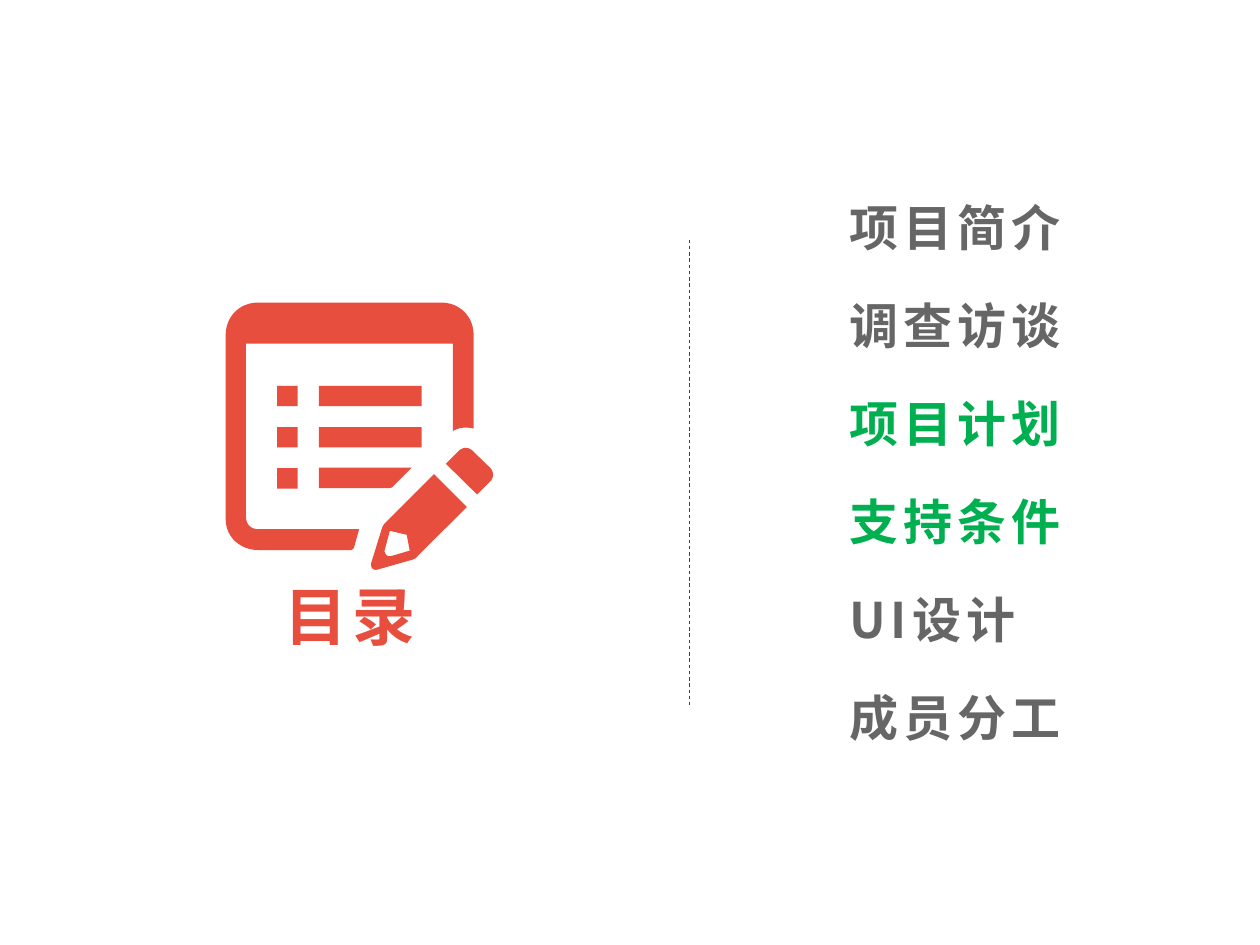
from lxml import etree
from pptx import Presentation
from pptx.dml.color import RGBColor
from pptx.enum.dml import MSO_LINE
from pptx.enum.shapes import MSO_CONNECTOR, MSO_SHAPE
from pptx.enum.text import MSO_AUTO_SIZE, PP_ALIGN
from pptx.oxml.ns import qn
from pptx.util import Cm, Pt

RECT = MSO_SHAPE.RECTANGLE
STRAIGHT = MSO_CONNECTOR.STRAIGHT
DASH = MSO_LINE.DASH
GROW = MSO_AUTO_SIZE.SHAPE_TO_FIT_TEXT
LEFT, CENTER = PP_ALIGN.LEFT, PP_ALIGN.CENTER
FONT = "Noto Sans CJK SC"
RED, GREEN, GRAY = "E74E3E", "00B050", "666666"
rgb = RGBColor.from_string


def add_label(x, y, w, h, text, size, color, align):
    s = slide.shapes.add_textbox(Cm(x), Cm(y), Cm(w), Cm(h))
    tf = s.text_frame
    tf.word_wrap = True
    tf.auto_size = GROW
    p = tf.paragraphs[0]
    p.alignment = align
    r = p.add_run()
    r.text = text
    r.font.size = Pt(size)
    r.font.bold = True
    r.font.name = FONT
    r.font.color.rgb = rgb(color)
    rpr = r._r.get_or_add_rPr()
    rpr.set("spc", "300")
    etree.SubElement(rpr, qn("a:ea")).set("typeface", FONT)


def flatten(outline, steps=12):
    """Turn (x, y) points and (x1, y1, x2, y2, x, y) Bezier curves into points."""
    points = []
    for seg in outline:
        if len(seg) == 2:
            points.append(seg)
            continue
        start = points[-1]
        for i in range(1, steps + 1):
            t = i / steps
            u = 1 - t
            points.append(tuple(
                u**3 * start[k] + 3 * u * u * t * seg[k]
                + 3 * u * t * t * seg[k + 2] + t**3 * seg[k + 4]
                for k in (0, 1)))
    return [(Cm(x), Cm(y)) for x, y in points]


prs = Presentation()
prs.slide_width, prs.slide_height = Cm(25.4), Cm(19.05)
slide = prs.slides.add_slide(prs.slide_layouts[6])

# Dashed divider
s = slide.shapes.add_connector(STRAIGHT, Cm(13.9), Cm(4.83), Cm(13.9), Cm(14.22))
s.line.color.rgb = rgb("404040")
s.line.width = Pt(0.5)
s.line.dash_style = DASH
etree.SubElement(s._element.spPr, qn("a:effectLst"))

# Contents entries
entries = [("项目简介", GRAY), ("调查访谈", GRAY), ("项目计划", GREEN),
           ("支持条件", GREEN), ("UI设计", GRAY), ("成员分工", GRAY)]
for i, (text, color) in enumerate(entries):
    add_label(16.87, 3.86 + 1.976 * i, 4.98, 1.45, text, 28, color, LEFT)

# Notepad icon outlines, each a list of contours in centimetres
frame = [(7.24, 10.67), (7.14, 11.03), (7.13, 11.07, 7.1, 11.09, 7.06, 11.09),
         (5.22, 11.09), (4.83, 11.09, 4.55, 10.82, 4.55, 10.46),
         (4.55, 6.76), (4.55, 6.38, 4.83, 6.1, 5.21, 6.1),
         (8.89, 6.1), (9.27, 6.1, 9.55, 6.38, 9.55, 6.76),
         (9.55, 8.64), (9.4, 8.61, 9.27, 8.61, 9.13, 8.69),
         (9.13, 6.93), (4.96, 6.93),
         (4.96, 10.42), (4.96, 10.57, 5.06, 10.67, 5.21, 10.67)]
pencil = [(8.75, 9.56), (9.41, 10.22), (8.42, 11.21),
          (8.4, 11.24, 8.36, 11.27, 8.32, 11.28),
          (7.62, 11.48), (7.53, 11.51, 7.45, 11.44, 7.49, 11.33),
          (7.7, 10.65), (7.71, 10.62, 7.73, 10.58, 7.75, 10.56)]
pencil_tip = [(7.86, 10.7), (7.75, 11.11), (7.78, 11.21, 7.83, 11.23, 7.92, 11.2),
              (8.26, 11.1), (8.2, 10.78)]
eraser = [(8.99, 9.35), (9.25, 9.09), (9.33, 9.01, 9.45, 9.01, 9.53, 9.09),
          (9.88, 9.43), (9.96, 9.51, 9.96, 9.63, 9.88, 9.71), (9.62, 9.97)]
cut_bar = [(6.43, 9.43), (8.3, 9.43), (7.94, 9.79),
           (7.92, 9.82, 7.89, 9.84, 7.85, 9.84), (6.43, 9.84)]

icon = slide.shapes.add_group_shape()
parts = []
for contours in ([frame], [pencil, pencil_tip], [eraser], [cut_bar]):
    builder = None
    for outline in contours:
        points = flatten(outline)
        if builder is None:
            builder = icon.shapes.build_freeform(*points[0])
        else:
            builder.move_to(*points[0])
        builder.add_line_segments(points[1:], close=True)
    parts.append(builder.convert_to_shape())

# List rows on the notepad: three bullets, two full bars
for x, w, rows in ((5.59, 0.41, 3), (6.43, 2.07, 2)):
    for i in range(rows):
        parts.append(icon.shapes.add_shape(
            RECT, Cm(x), Cm(7.78 + 0.83 * i), Cm(w), Cm(0.41)))

for s in parts:
    s.shadow.inherit = False
    s.fill.solid()
    s.fill.fore_color.rgb = rgb(RED)
    s.line.fill.background()

# Icon caption
add_label(3.56, 11.51, 7.01, 1.8, "目录", 36, RED, CENTER)

prs.save("out.pptx")
